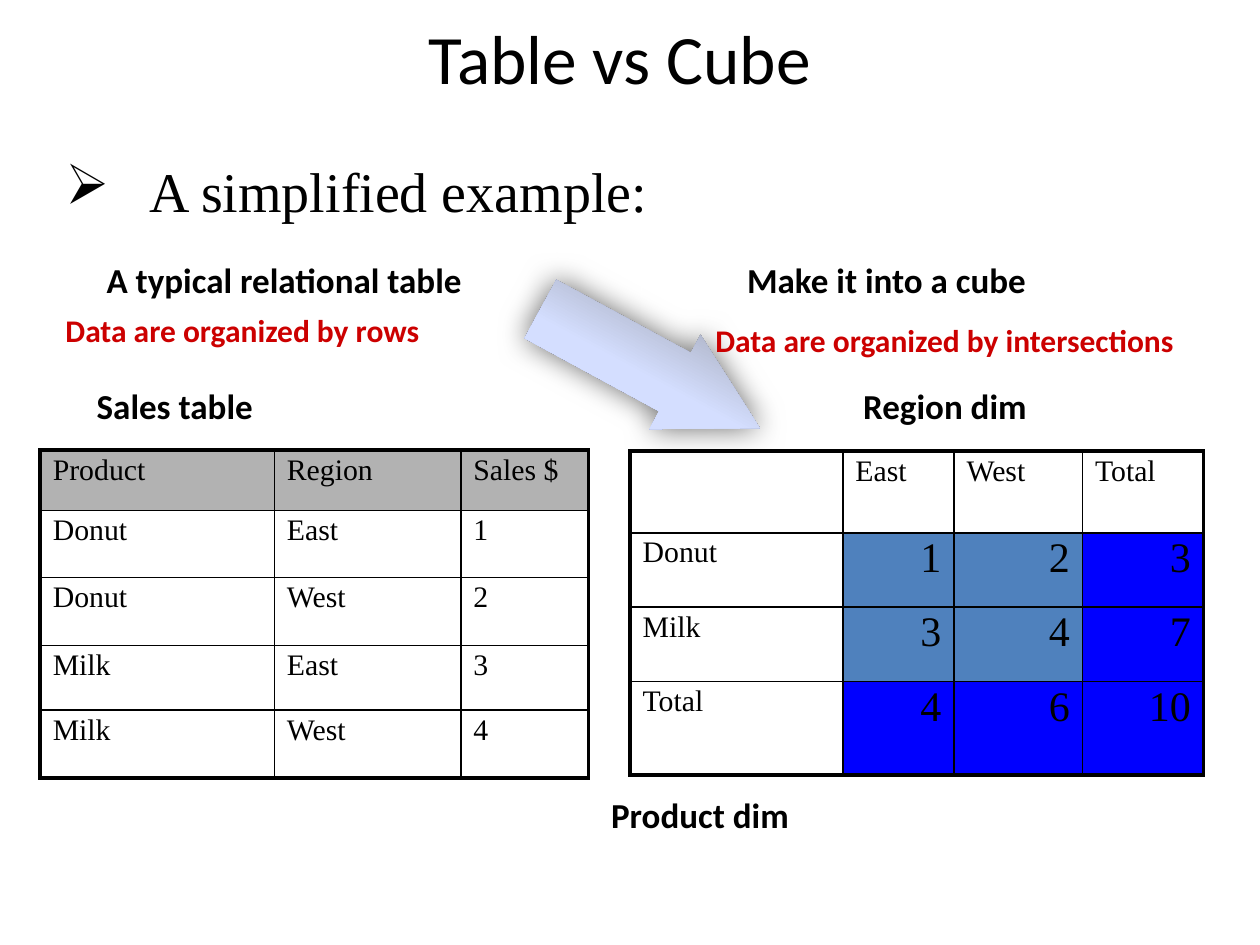
"""Build the "Table vs Cube" slide: a relational table turned into a cube."""
import dataclasses

import lxml.etree
import pptx
import pptx.dml.color
import pptx.enum.shapes
import pptx.enum.text
import pptx.oxml
import pptx.oxml.ns
import pptx.util

Cm = pptx.util.Cm
Pt = pptx.util.Pt
RGB = pptx.dml.color.RGBColor
ALIGN = pptx.enum.text.PP_ALIGN
ANCHOR = pptx.enum.text.MSO_ANCHOR


@dataclasses.dataclass(frozen=True)
class Theme:
    sans: str = "Calibri"
    serif: str = "Times New Roman"
    black: str = "000000"
    white: str = "FFFFFF"
    red: str = "CC0000"
    header: str = "B2B2B2"
    detail: str = "4F81BD"
    total: str = "0000FF"
    arrow_dark: str = "808080"
    arrow_light: str = "D4DEFF"
    arrow_end: str = "96AB94"
    title: float = 39.6
    intro: float = 32
    label: float = 20
    note: float = 18
    cell: float = 17
    number: float = 24
    inner_line: float = 1
    outer_line: float = 2.25


theme = Theme()


def write(text_frame, text, font, size, color=theme.black, bold=False, **paragraph_format):
    """Write one formatted paragraph into a text frame."""
    paragraph = text_frame.paragraphs[0]
    for name, value in paragraph_format.items():
        setattr(paragraph, name, value)
    run = paragraph.add_run()
    run.text = text
    for name, value in {"name": font, "size": Pt(size), "bold": bold}.items():
        setattr(run.font, name, value)
    run.font.color.rgb = RGB.from_string(color)
    return paragraph


def add_text_box(left, top, width, height):
    """Add a wrapping text box and return its text frame."""
    box = slide.shapes.add_textbox(Cm(left), Cm(top), Cm(width), Cm(height))
    box.text_frame.word_wrap = True
    return box.text_frame


presentation = pptx.Presentation()
presentation.slide_width = Cm(25.4)
presentation.slide_height = Cm(19.05)
slide = presentation.slides.add_slide(presentation.slide_layouts[6])

title = add_text_box(0.43, 0.2, 24.13, 1.9)
title.vertical_anchor = ANCHOR.BOTTOM
write(title, "Table vs Cube", theme.sans, theme.title, alignment=ALIGN.CENTER)

intro = write(
    add_text_box(1.07, 3.18, 22.35, 1.47),
    "A simplified example:", theme.serif, theme.intro, line_spacing=0.9,
)
intro_properties = intro._p.get_or_add_pPr()
for name, value in {"marL": Cm(1.7), "indent": -Cm(1.7)}.items():
    intro_properties.set(name, str(int(value)))
bullet = lxml.etree.SubElement(intro_properties, pptx.oxml.ns.qn("a:buChar"))
bullet.set("char", "➢")

tables = [
    {
        "at": (0.81, 9.07),
        "columns": [4.72, 3.76, 2.57],
        "rows": [1.22, 1.35, 1.37, 1.3, 1.37],
        "values": [
            ["Product", "Region", "Sales $"],
            ["Donut", "East", "1"],
            ["Donut", "West", "2"],
            ["Milk", "East", "3"],
            ["Milk", "West", "4"],
        ],
        "is_cube": False,
    },
    {
        "at": (12.7, 9.09),
        "columns": [4.29, 2.24, 2.59, 2.44],
        "rows": [1.65, 1.5, 1.5, 1.88],
        "values": [
            ["", "East", "West", "Total"],
            ["Donut", "1", "2", "3"],
            ["Milk", "3", "4", "7"],
            ["Total", "4", "6", "10"],
        ],
        "is_cube": True,
    },
]
for spec_table in tables:
    columns, rows = spec_table["columns"], spec_table["rows"]
    last_column, last_row = len(columns) - 1, len(rows) - 1
    left, top = spec_table["at"]
    table = slide.shapes.add_table(
        len(rows), len(columns), Cm(left), Cm(top), Cm(sum(columns)), Cm(sum(rows))
    ).table
    for name in ("first_row", "horz_banding"):
        setattr(table, name, False)
    for column, width in zip(table.columns, columns):
        column.width = Cm(width)
    for row, height in zip(table.rows, rows):
        row.height = Cm(height)
    for row_index, values in enumerate(spec_table["values"]):
        for column_index, value in enumerate(values):
            cell = table.cell(row_index, column_index)
            is_number = spec_table["is_cube"] and row_index > 0 and column_index > 0
            if is_number:
                is_total = row_index == last_row or column_index == last_column
                fill = theme.total if is_total else theme.detail
            elif row_index == 0 and not spec_table["is_cube"]:
                fill = theme.header
            else:
                fill = theme.white
            if value:
                write(
                    cell.text_frame, value, theme.serif,
                    theme.number if is_number else theme.cell,
                    alignment=ALIGN.RIGHT if is_number else ALIGN.LEFT,
                    line_spacing=0.9, space_after=Pt(5),
                )
            edges = {
                "lnL": column_index == 0,
                "lnR": column_index == last_column,
                "lnT": row_index == 0,
                "lnB": row_index == last_row,
            }
            cell_properties = cell._tc.get_or_add_tcPr()
            for edge, is_outer in edges.items():
                width = Pt(theme.outer_line if is_outer else theme.inner_line)
                cell_properties.append(pptx.oxml.parse_xml(
                    f'<a:{edge} {pptx.oxml.ns.nsdecls("a")} w="{int(width)}"><a:solidFill>'
                    f'<a:srgbClr val="{theme.black}"/></a:solidFill></a:{edge}>'
                ))
            cell.fill.solid()
            cell.fill.fore_color.rgb = RGB.from_string(fill)

arrow = slide.shapes.add_shape(
    pptx.enum.shapes.MSO_SHAPE.RIGHT_ARROW, Cm(10.59), Cm(6.35), Cm(5.03), Cm(2.16)
)
arrow.rotation = 28.5
arrow.adjustments[0] = 0.62
arrow.adjustments[1] = 0.9
arrow.line.fill.background()
arrow.shadow.inherit = False
stops = "".join(
    f'<a:gs pos="{position * 1000}"><a:srgbClr val="{color}"/></a:gs>'
    for position, color in [
        (0, theme.arrow_dark), (53, theme.arrow_light),
        (83, theme.arrow_light), (100, theme.arrow_end),
    ]
)
arrow_properties = arrow._element.spPr
arrow_properties.find(pptx.oxml.ns.qn("a:prstGeom")).addnext(pptx.oxml.parse_xml(
    f'<a:gradFill {pptx.oxml.ns.nsdecls("a")} rotWithShape="1"><a:gsLst>{stops}</a:gsLst>'
    '<a:lin ang="5400000" scaled="0"/></a:gradFill>'
))
arrow_properties.find(pptx.oxml.ns.qn("a:effectLst")).append(pptx.oxml.parse_xml(
    f'<a:outerShdw {pptx.oxml.ns.nsdecls("a")} blurRad="{int(Pt(17))}" dist="0" dir="0">'
    f'<a:srgbClr val="{theme.black}"><a:alpha val="59000"/></a:srgbClr></a:outerShdw>'
))

labels = [
    ("A typical relational table", 1.9, 5.08, 8.61),
    ("Make it into a cube", 14.81, 5.08, 6.81),
    ("Product dim", 12.07, 15.88, 4.62),
    ("Region dim", 17.15, 7.62, 4.34),
    ("Sales table", 1.7, 7.62, 5.51),
]
for text, left, top, width in labels:
    write(add_text_box(left, top, width, 1.09), text, theme.sans, theme.label, bold=True)

notes = [
    ("Data are organized by rows", 1.07, 6.15, 8.76),
    ("Data are organized by intersections", 14.17, 6.35, 11.23),
]
for text, left, top, width in notes:
    write(add_text_box(left, top, width, 1.02), text, theme.sans, theme.note, theme.red, True)

presentation.save("out.pptx")
